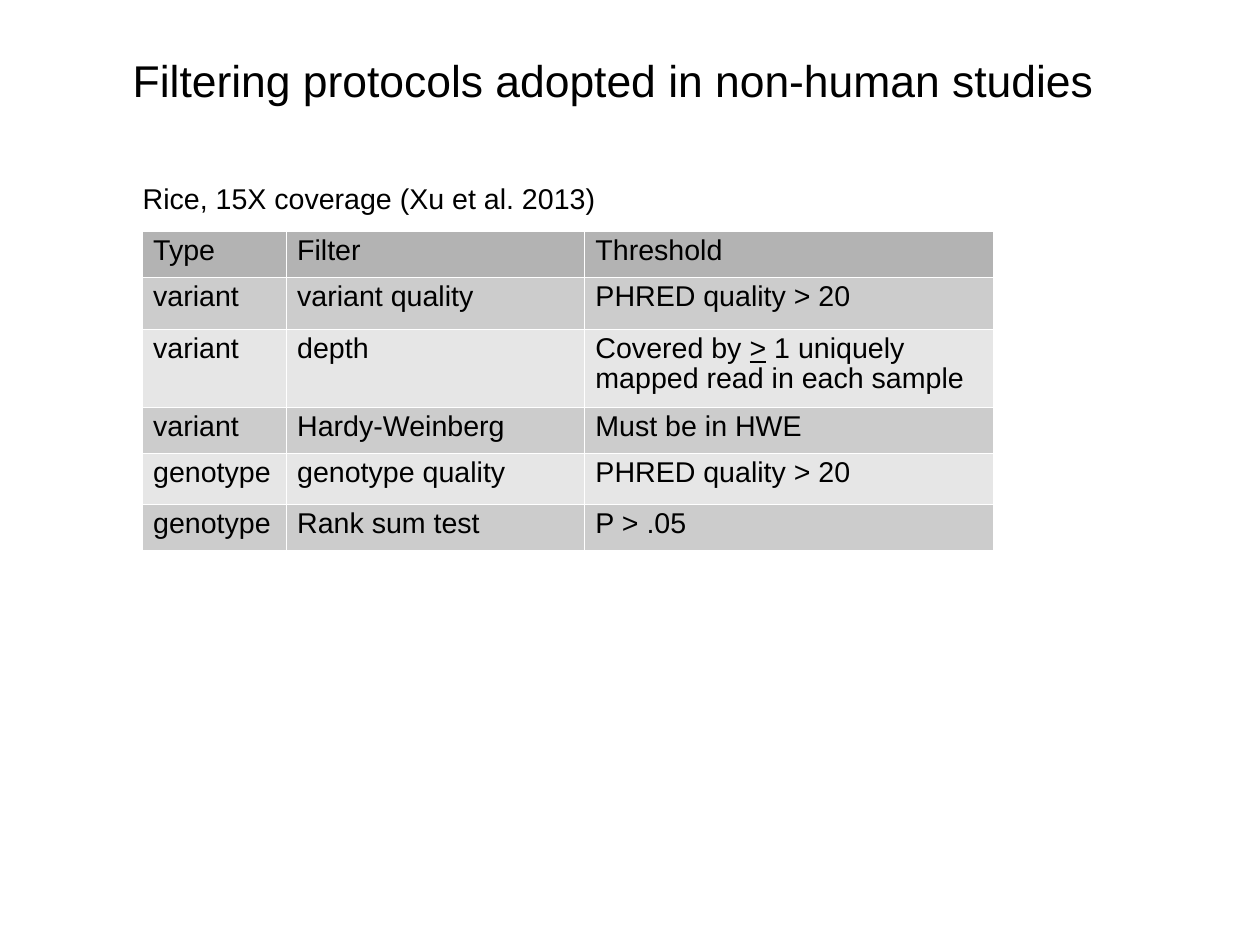
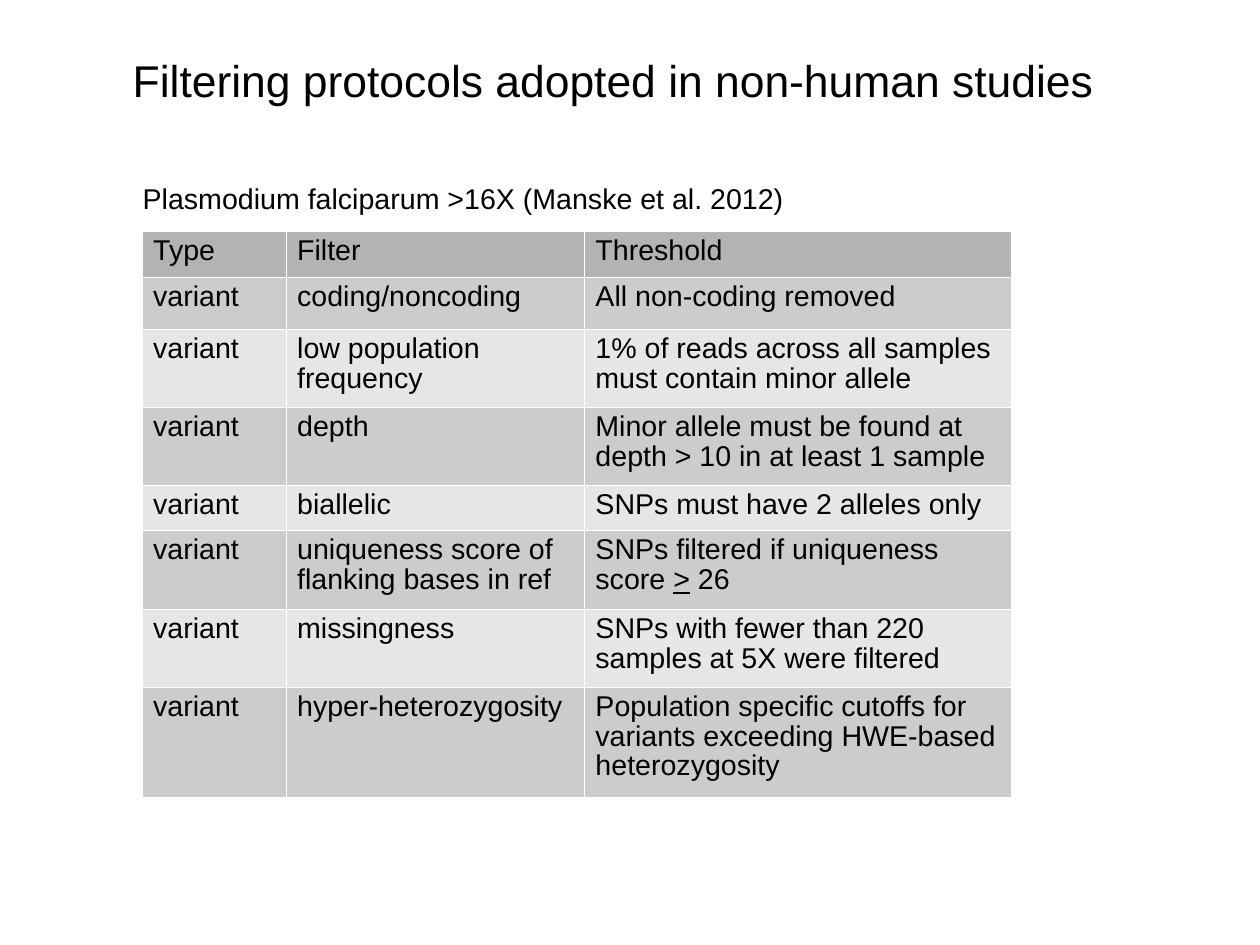
from dataclasses import dataclass

from lxml import etree
from pptx import Presentation, util as u
from pptx.dml.color import RGBColor
from pptx.enum import text
from pptx.oxml import ns


@dataclass(frozen=True)
class Theme:
    font: str = "Arial"
    ink: str = "000000"
    header: str = "B3B3B3"
    bands: tuple = ("CCCCCC", "E6E6E6")
    border: str = "FFFFFF"
    border_width: float = 0.06
    title_size: int = 28
    body_size: int = 18


theme = Theme()
TITLE = "Filtering protocols adopted in non-human studies"
HEADINGS = ("Type", "Filter", "Threshold")

# A tuple holds the runs of one cell; every second run is underlined.
studies = [
    {
        "caption": "Rice, 15X coverage (Xu et al. 2013)",
        "caption_width": 5.3,
        "columns": (1.26, 2.61, 3.58),
        "heights": (0.4, 0.46, 0.68, 0.4, 0.45, 0.4),
        "rows": [
            ("variant", "variant quality", "PHRED quality > 20"),
            ("variant", "depth", ("Covered by ", ">", " 1 uniquely mapped read in each sample")),
            ("variant", "Hardy-Weinberg", "Must be in HWE"),
            ("genotype", "genotype quality", "PHRED quality > 20"),
            ("genotype", "Rank sum test", "P > .05"),
        ],
    },
    {
        "caption": "Plasmodium falciparum >16X (Manske et al. 2012)",
        "caption_width": 6.55,
        "columns": (1.26, 2.61, 3.74),
        "heights": (0.4, 0.46, 0.68, 0.68, 0.4, 0.69, 0.68, 0.96),
        "rows": [
            ("variant", "coding/noncoding", "All non-coding removed"),
            ("variant", "low population frequency",
             "1% of reads across all samples must contain minor allele"),
            ("variant", "depth", "Minor allele must be found at depth > 10 in at least 1 sample"),
            ("variant", "biallelic", "SNPs must have 2 alleles only"),
            ("variant", "uniqueness score of flanking bases in ref",
             ("SNPs filtered if uniqueness score ", ">", " 26")),
            ("variant", "missingness", "SNPs with fewer than 220 samples at 5X were filtered"),
            ("variant", "hyper-heterozygosity",
             "Population specific cutoffs for variants exceeding HWE-based heterozygosity"),
        ],
    },
]


def write(frame, content, size, spacing, align=text.PP_ALIGN.LEFT):
    """Fill a text frame run by run."""
    paragraph = frame.paragraphs[0]
    paragraph.alignment = align
    paragraph.line_spacing = spacing
    for index, words in enumerate((content,) if isinstance(content, str) else content):
        run = paragraph.add_run()
        run.text = words
        run.font.name = theme.font
        run.font.size = u.Pt(size)
        run.font.color.rgb = RGBColor.from_string(theme.ink)
        if index % 2:
            run.font.underline = True


def set_frame(frame, left, top, right, bottom, anchor):
    """Set the insets, anchor and wrapping of a text frame."""
    frame.margin_left, frame.margin_top = u.Inches(left), u.Inches(top)
    frame.margin_right, frame.margin_bottom = u.Inches(right), u.Inches(bottom)
    frame.vertical_anchor = anchor
    frame.word_wrap = True
    frame.auto_size = text.MSO_AUTO_SIZE.NONE


# The page is 28 by 21 cm
presentation = Presentation()
presentation.slide_width = u.Cm(28)
presentation.slide_height = u.Cm(21)
title_only = presentation.slide_layouts[5]

for study in studies:
    slide = presentation.slides.add_slide(title_only)

    # Title
    title = slide.shapes.title
    title.left, title.top = u.Inches(0.4), u.Inches(0.02)
    title.width, title.height = u.Inches(9.92), u.Inches(1.38)
    set_frame(title.text_frame, 0, 0.03, 0, 0, text.MSO_ANCHOR.MIDDLE)
    write(title.text_frame, TITLE, theme.title_size, 0.93, text.PP_ALIGN.CENTER)

    # Table of filters
    rows = [HEADINGS, *study["rows"]]
    table = slide.shapes.add_table(
        len(rows), len(HEADINGS), u.Inches(1.24), u.Inches(2.02),
        u.Inches(sum(study["columns"])), u.Inches(sum(study["heights"]))).table
    table.first_row = table.horz_banding = False
    for column, width in zip(table.columns, study["columns"]):
        column.width = u.Inches(width)
    for row, height in zip(table.rows, study["heights"]):
        row.height = u.Inches(height)

    for row_index, contents in enumerate(rows):
        fill = theme.bands[(row_index - 1) % 2] if row_index else theme.header
        for column_index, content in enumerate(contents):
            cell = table.cell(row_index, column_index)
            cell.margin_left = cell.margin_right = u.Inches(0.1)
            cell.margin_top = cell.margin_bottom = u.Inches(0.05)
            write(cell.text_frame, content, theme.body_size, 0.93)
            # Cell borders come before the fill in the XML
            properties = cell._tc.get_or_add_tcPr()
            for side in ("lnL", "lnR", "lnT", "lnB"):
                line = etree.SubElement(properties, ns.qn(f"a:{side}"),
                                        w=str(u.Pt(theme.border_width)))
                solid = etree.SubElement(line, ns.qn("a:solidFill"))
                etree.SubElement(solid, ns.qn("a:srgbClr"), val=theme.border)
            cell.fill.solid()
            cell.fill.fore_color.rgb = RGBColor.from_string(fill)

    # Study caption
    caption = slide.shapes.add_textbox(
        u.Inches(1.15), u.Inches(1.56), u.Inches(study["caption_width"]), u.Inches(0.38))
    set_frame(caption.text_frame, 0.1, 0.07, 0.1, 0.05, text.MSO_ANCHOR.TOP)
    write(caption.text_frame, study["caption"], theme.body_size, 0.83)

presentation.save("out.pptx")
